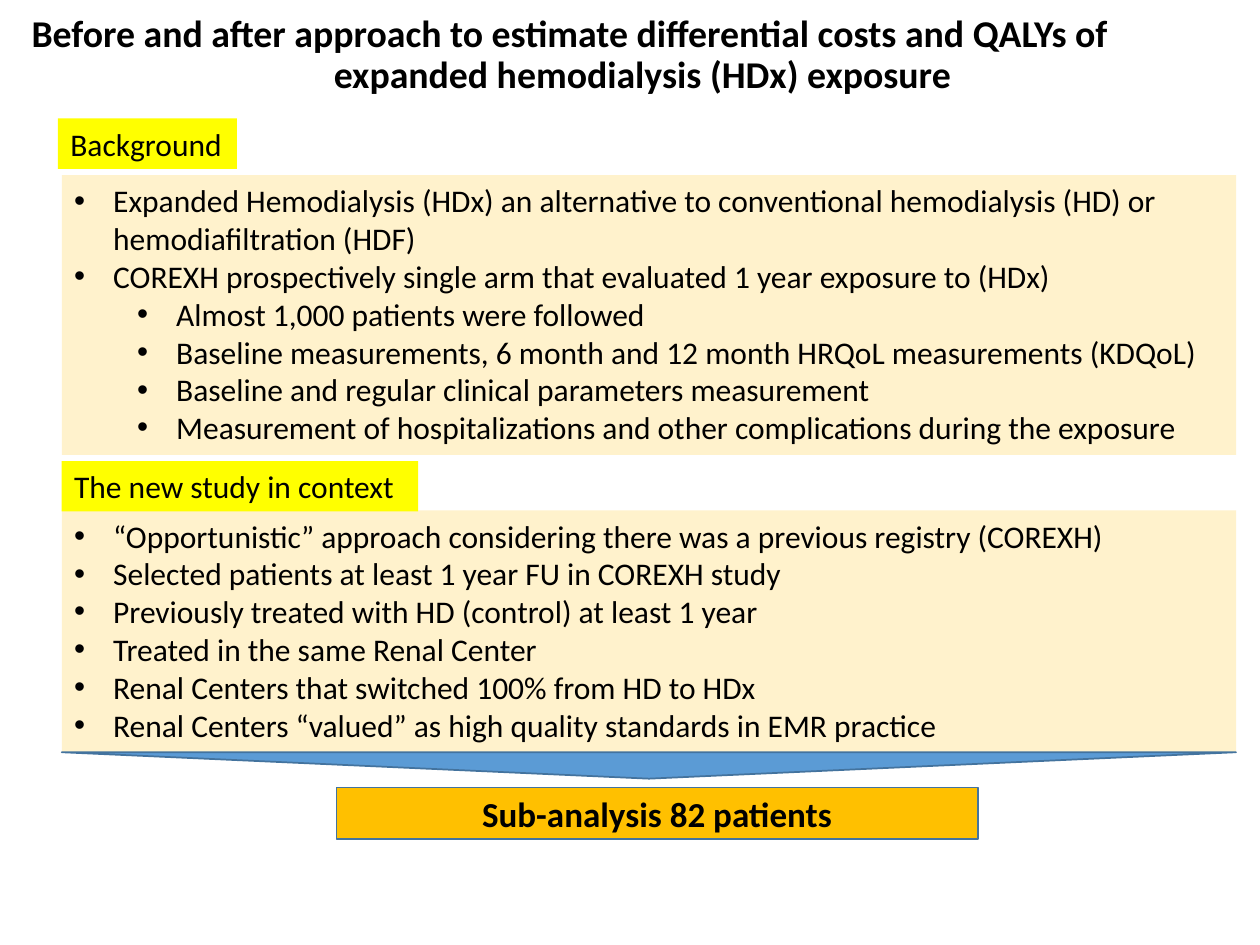
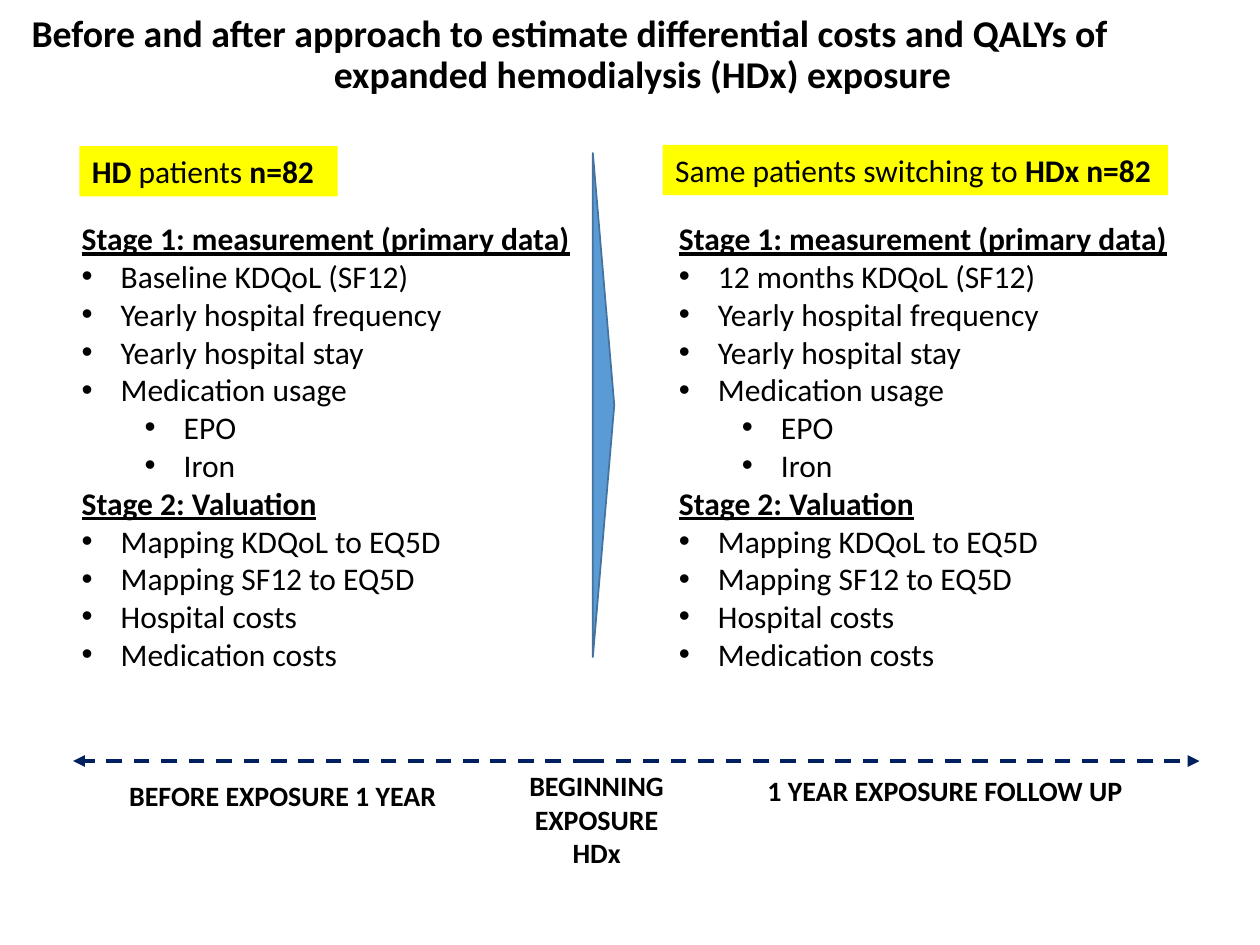
from dataclasses import dataclass

from lxml import etree
from pptx import Presentation
from pptx.dml.color import RGBColor
from pptx.enum.dml import MSO_LINE
from pptx.enum.shapes import MSO_CONNECTOR, MSO_SHAPE
from pptx.enum.text import MSO_ANCHOR, MSO_AUTO_SIZE, PP_ALIGN
from pptx.oxml.ns import qn
from pptx.util import Inches, Pt

RECTANGLE, TRIANGLE = MSO_SHAPE.RECTANGLE, MSO_SHAPE.ISOSCELES_TRIANGLE
LEFT, CENTER = PP_ALIGN.LEFT, PP_ALIGN.CENTER
TOP, MIDDLE = MSO_ANCHOR.TOP, MSO_ANCHOR.MIDDLE
STRAIGHT = MSO_CONNECTOR.STRAIGHT
DASH = MSO_LINE.DASH
FIXED = MSO_AUTO_SIZE.NONE

WIDTH, HEIGHT = Inches(10), Inches(7.5)
COLUMNS, ROWS = 100, 75
TITLE_ONLY = 5
HEADING, ITEM, SUBITEM = None, 0, 1


@dataclass(frozen=True)
class Theme:
    font: str = "Calibri"
    ink: str = "000000"
    tag: str = "FFFF00"
    panel: str = "FFF2CC"
    result: str = "FFC000"
    wedge: str = "5B9BD5"
    edge: str = "43739E"
    timeline: str = "002060"
    title_size: float = 21.6
    result_size: float = 20
    body_size: float = 18
    period_size: float = 16


THEME = Theme()

TITLE = ("Before and after approach to estimate differential costs and QALYs of",
         "expanded hemodialysis (HDx) exposure")

BACKGROUND = [
    (ITEM, "Expanded Hemodialysis (HDx) an alternative to conventional hemodialysis (HD) "
           "or hemodiafiltration (HDF)"),
    (ITEM, "COREXH prospectively single arm that evaluated 1 year exposure to (HDx)"),
    (SUBITEM, "Almost 1,000 patients were followed"),
    (SUBITEM, "Baseline measurements, 6 month and 12 month HRQoL measurements (KDQoL)"),
    (SUBITEM, "Baseline and regular clinical parameters measurement"),
    (SUBITEM, "Measurement of hospitalizations and other complications during the exposure"),
]

CONTEXT = [
    (ITEM, "“Opportunistic” approach considering there was a previous registry (COREXH)"),
    (ITEM, "Selected patients at least 1 year FU in COREXH study"),
    (ITEM, "Previously treated with HD (control) at least 1 year"),
    (ITEM, "Treated in the same Renal Center"),
    (ITEM, "Renal Centers that switched 100% from HD to HDx"),
    (ITEM, "Renal Centers “valued” as high quality standards in EMR practice"),
]


def stages(quality_measure):
    return [
        (HEADING, "Stage 1: measurement (primary data)"),
        (ITEM, quality_measure),
        (ITEM, "Yearly hospital frequency"),
        (ITEM, "Yearly hospital stay"),
        (ITEM, "Medication usage"),
        (SUBITEM, "EPO"),
        (SUBITEM, "Iron"),
        (HEADING, "Stage 2: Valuation"),
        (ITEM, "Mapping KDQoL to EQ5D"),
        (ITEM, "Mapping SF12 to EQ5D"),
        (ITEM, "Hospital costs"),
        (ITEM, "Medication costs"),
    ]


def across(columns):
    return round(WIDTH * columns / COLUMNS)


def down(rows):
    return round(HEIGHT * rows / ROWS)


def frame(area):
    left, top, width, height = area
    return across(left), down(top), across(width), down(height)


def color(value):
    return RGBColor.from_string(value)


def style_run(run, size, bold=False, underline=False):
    run.font.name = THEME.font
    run.font.size = Pt(size)
    run.font.bold = bold
    run.font.underline = underline
    run.font.color.rgb = color(THEME.ink)


def style_lines(text, size, align=LEFT, bold=False):
    for line in text.paragraphs:
        line.alignment = align
        for run in line.runs:
            style_run(run, size, bold)


def prepare_text(holder, anchor=TOP):
    text = holder.text_frame
    text.word_wrap = True
    text.auto_size = FIXED
    text.vertical_anchor = anchor
    return text


def add_filled(slide, kind, area, fill, edge=None):
    figure = slide.shapes.add_shape(kind, *frame(area))
    figure.shadow.inherit = False
    figure.fill.solid()
    figure.fill.fore_color.rgb = color(fill)
    if edge:
        figure.line.color.rgb = color(edge)
        figure.line.width = Pt(1)
    else:
        figure.line.fill.background()
    return figure


def add_titled_slide(deck):
    slide = deck.slides.add_slide(deck.slide_layouts[TITLE_ONLY])
    title = slide.shapes.title
    title.left, title.top, title.width, title.height = frame((0.9, 1.1, 99.6, 6.7))
    text = prepare_text(title, MIDDLE)
    text.text = "\n".join(TITLE)
    style_lines(text, THEME.title_size, CENTER, bold=True)
    for line in text.paragraphs:
        line.line_spacing = 0.9
    opening = text.paragraphs[0]
    opening.alignment = LEFT
    opening._p.get_or_add_pPr().set("marL", str(across(0.6)))
    return slide


def add_tag(slide, area, *parts):
    text = prepare_text(add_filled(slide, RECTANGLE, area, THEME.tag))
    line = text.paragraphs[0]
    line.alignment = LEFT
    for wording, bold in parts:
        run = line.add_run()
        run.text = wording
        style_run(run, THEME.body_size, bold)


def add_bullet(line, level):
    line.level = level
    properties = line._p.get_or_add_pPr()
    properties.set("marL", str(across(3.1 + 5 * level)))
    properties.set("indent", str(-across(3.1)))
    etree.SubElement(properties, qn("a:buFont")).set("typeface", "Arial")
    etree.SubElement(properties, qn("a:buChar")).set("char", "•")


def write_outline(holder, entries):
    text = prepare_text(holder)
    text.text = "\n".join(wording for _, wording in entries)
    for line, (level, _) in zip(text.paragraphs, entries):
        heading = level is HEADING
        line.alignment = LEFT
        style_run(line.runs[0], THEME.body_size, heading, heading)
        if not heading:
            add_bullet(line, level)


def add_panel(slide, area, entries):
    write_outline(add_filled(slide, RECTANGLE, area, THEME.panel), entries)


def add_stages(slide, area, entries):
    write_outline(slide.shapes.add_textbox(*frame(area)), entries)


def add_wedge(slide, area, rotation):
    add_filled(slide, TRIANGLE, area, THEME.wedge, THEME.edge).rotation = rotation


def add_result(slide, area, wording):
    text = prepare_text(add_filled(slide, RECTANGLE, area, THEME.result, THEME.edge), MIDDLE)
    text.text = wording
    style_lines(text, THEME.result_size, CENTER, bold=True)


def add_period(slide, area, wording):
    text = prepare_text(slide.shapes.add_textbox(*frame(area)))
    text.text = wording
    style_lines(text, THEME.period_size, CENTER, bold=True)


def add_time_arrow(slide, start, end, row):
    arrow = slide.shapes.add_connector(
        STRAIGHT, across(start), down(row), across(end), down(row))
    arrow.line.color.rgb = color(THEME.timeline)
    arrow.line.width = Pt(2.25)
    arrow.line.dash_style = DASH
    etree.SubElement(arrow.line._get_or_add_ln(), qn("a:tailEnd")).set("type", "triangle")
    etree.SubElement(arrow._element.spPr, qn("a:effectLst"))


def build_background(deck):
    slide = add_titled_slide(deck)
    margin, span = 4.9, 93.2
    add_tag(slide, (4.6, 9.4, 14.2, 4), ("Background", False))
    add_panel(slide, (margin, 13.9, span, 22.2), BACKGROUND)
    add_panel(slide, (margin, 40.5, span, 19.2), CONTEXT)
    add_tag(slide, (margin, 36.6, 28.3, 4), ("The new study in context", False))
    add_wedge(slide, (margin, 59.7, span, 2.1), 180)
    add_result(slide, (26.7, 62.5, 50.9, 4.1), "Sub-analysis 82 patients")


def build_comparison(deck):
    slide = add_titled_slide(deck)
    switch, timeline_row = 46.7, 60.4
    for end in (95.2, 5.8):
        add_time_arrow(slide, switch, end, timeline_row)
    add_period(slide, (40.7, 60.5, 13.3, 9.1), "BEGINNING\nEXPOSURE\nHDx")
    add_period(slide, (59.7, 60.9, 30.6, 3.7), "1 YEAR EXPOSURE FOLLOW UP")
    add_period(slide, (9.1, 61.3, 26.7, 3.7), "BEFORE EXPOSURE 1 YEAR")
    add_tag(slide, (6.3, 11.6, 20.5, 4),
            ("HD", True), (" patients ", False), ("n=82", True))
    add_tag(slide, (52.6, 11.5, 40.1, 4),
            ("Same patients switching to ", False), ("HDx n=82", True))
    add_stages(slide, (5.5, 16.9, 41.3, 37.4), stages("Baseline KDQoL (SF12)"))
    add_wedge(slide, (27.9, 31.3, 40, 1.7), 90)
    add_stages(slide, (52.9, 16.9, 42, 37.4), stages("12 months KDQoL (SF12)"))


def main():
    deck = Presentation()
    deck.slide_width, deck.slide_height = WIDTH, HEIGHT
    build_background(deck)
    build_comparison(deck)
    deck.save("out.pptx")


if __name__ == "__main__":
    main()
